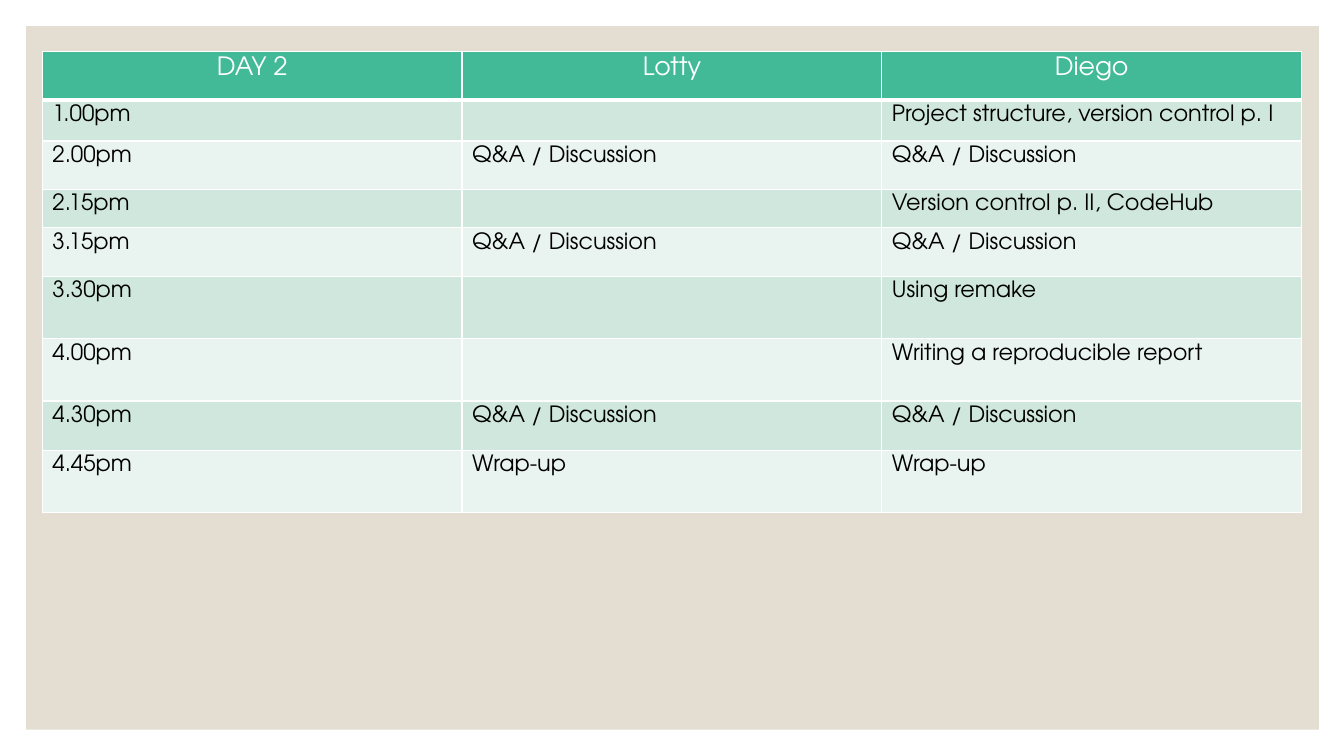
from dataclasses import dataclass

from lxml.etree import SubElement
from pptx import Presentation
from pptx.dml.color import RGBColor
from pptx.enum.shapes import MSO_SHAPE
from pptx.enum.text import PP_ALIGN
from pptx.oxml.ns import qn
from pptx.util import Inches, Pt


@dataclass(frozen=True)
class Theme:
    font: str = "TeX Gyre Adventor"
    header_size: int = 18
    body_size: int = 16
    panel: str = "E3DED1"
    header: str = "42BA97"
    bands: tuple = ("CFE7DD", "E9F3EF")
    white: str = "FFFFFF"
    black: str = "000000"


DISCUSSION = "Q&A / Discussion"
HEADINGS = ("DAY 2", "Lotty", "Diego")
HEADER_HEIGHT = 0.48
SESSIONS = [  # row height, time, Lotty, Diego
    (0.41, "1.00pm", "", "Project structure, version control p. I"),
    (0.48, "2.00pm", DISCUSSION, DISCUSSION),
    (0.38, "2.15pm", "", "Version control p. II, CodeHub"),
    (0.48, "3.15pm", DISCUSSION, DISCUSSION),
    (0.62, "3.30pm", "", "Using remake"),
    (0.62, "4.00pm", "", "Writing a reproducible report"),
    (0.49, "4.30pm", DISCUSSION, DISCUSSION),
    (0.62, "4.45pm", "Wrap-up", "Wrap-up"),
]


class SlideBuilder:
    def __init__(self, slide, theme):
        self.slide = slide
        self.theme = theme

    def panel(self, left, top, width, height):
        shape = self.slide.shapes.add_shape(
            MSO_SHAPE.RECTANGLE, Inches(left), Inches(top), Inches(width), Inches(height))
        shape.shadow.inherit = False
        shape.fill.solid()
        shape.fill.fore_color.rgb = RGBColor.from_string(self.theme.panel)
        shape.line.fill.background()

    def borders(self, cell, bottom):
        """Draw white cell edges, 1 pt wide except for the bottom one."""
        properties = cell._tc.get_or_add_tcPr()
        for edge, width in (("L", 1), ("R", 1), ("T", 1), ("B", bottom)):
            line = SubElement(properties, qn(f"a:ln{edge}"), w=str(Pt(width)))
            fill = SubElement(line, qn("a:solidFill"))
            SubElement(fill, qn("a:srgbClr"), val=self.theme.white)

    def cell(self, cell, text, fill, color, size, align=PP_ALIGN.LEFT, bottom=1):
        self.borders(cell, bottom)
        cell.fill.solid()
        cell.fill.fore_color.rgb = RGBColor.from_string(fill)
        cell.text = text
        paragraph = cell.text_frame.paragraphs[0]
        paragraph.alignment = align
        paragraph.font.name = self.theme.font
        paragraph.font.size = Pt(size)
        paragraph.font.color.rgb = RGBColor.from_string(color)

    def timetable(self, left, top, width, headings, sessions):
        theme = self.theme
        heights = [HEADER_HEIGHT] + [session[0] for session in sessions]
        table = self.slide.shapes.add_table(
            len(heights), len(headings), Inches(left), Inches(top),
            Inches(width), Inches(sum(heights))).table
        for row, height in zip(table.rows, heights):
            row.height = Inches(height)
        for column, heading in enumerate(headings):
            self.cell(table.cell(0, column), heading, theme.header, theme.white,
                      theme.header_size, PP_ALIGN.CENTER, bottom=3)
        for row, (_, *texts) in enumerate(sessions, start=1):
            band = theme.bands[(row - 1) % 2]
            for column, text in enumerate(texts):
                self.cell(table.cell(row, column), text, band, theme.black, theme.body_size)


def main():
    presentation = Presentation()
    presentation.slide_width = Inches(13.33)
    presentation.slide_height = Inches(7.5)
    slide = presentation.slides.add_slide(presentation.slide_layouts[6])
    builder = SlideBuilder(slide, Theme())
    builder.panel(0.26, 0.26, 12.82, 6.98)
    builder.timetable(0.42, 0.51, 12.49, HEADINGS, SESSIONS)
    presentation.save("out.pptx")


if __name__ == "__main__":
    main()
